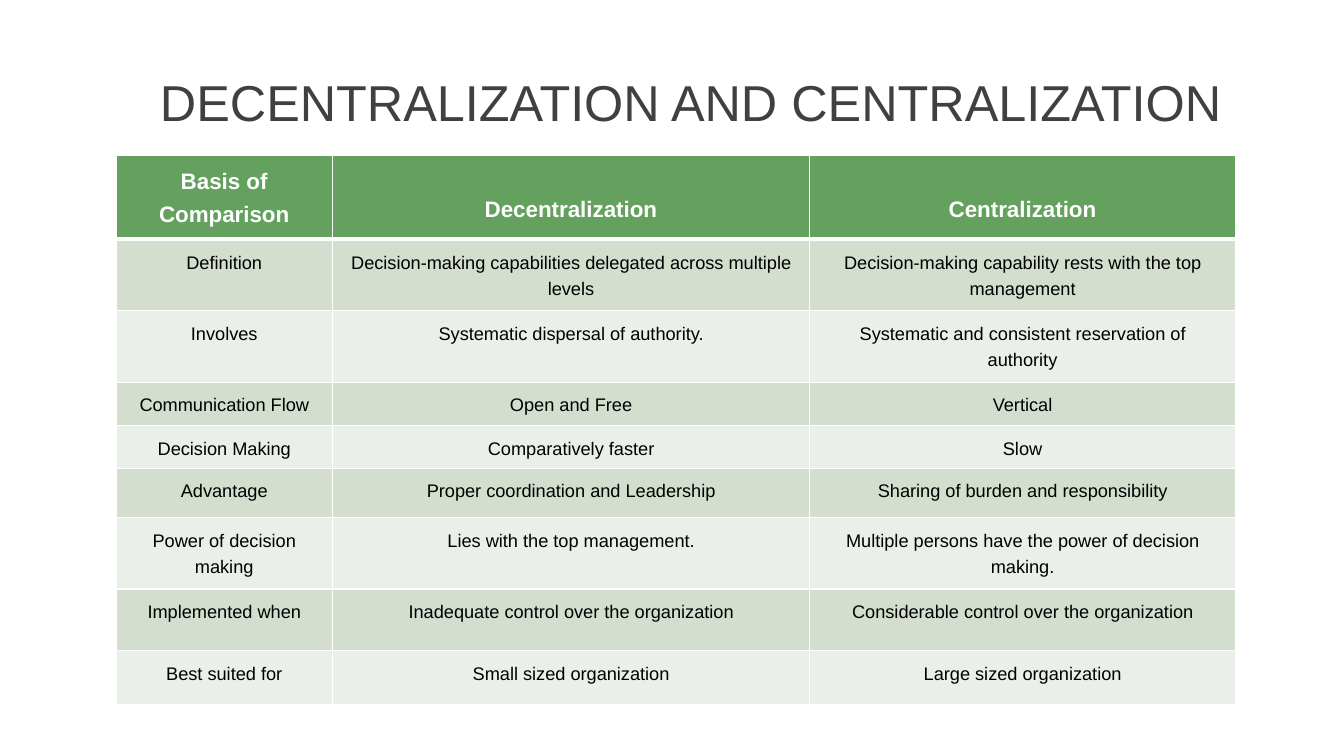
from lxml import etree
from pptx import Presentation
from pptx import util as u
from pptx.dml import color
from pptx.enum import text
from pptx.oxml import ns

FONT = "Arial"
HEADER_FILL = "64A15E"
BAND_FILLS = ("EAEFE9", "D3DECF")
COLUMN_WIDTHS = (5.44, 12.04, 10.72)
ROW_HEIGHTS = (2.11, 1.8, 1.8, 1.09, 1.07, 1.24, 1.8, 1.55, 1.37)
COMPARISON = (
    ("Basis of\nComparison", "Decentralization", "Centralization"),
    ("Definition", "Decision-making capabilities delegated across multiple levels",
     "Decision-making capability rests with the top\nmanagement"),
    ("Involves", "Systematic dispersal of authority.",
     "Systematic and consistent reservation of\nauthority"),
    ("Communication Flow", "Open and Free", "Vertical"),
    ("Decision Making", "Comparatively faster", "Slow"),
    ("Advantage", "Proper coordination and Leadership",
     "Sharing of burden and responsibility"),
    ("Power of decision\nmaking", "Lies with the top management.",
     "Multiple persons have the power of decision\nmaking."),
    ("Implemented when", "Inadequate control over the organization",
     "Considerable control over the organization"),
    ("Best suited for", "Small sized organization", "Large sized organization"),
)


def rgb(value):
    return color.RGBColor.from_string(value)


def write_lines(frame, content, size, ink, bold=False, spacing=1.0):
    for index, line in enumerate(content.split("\n")):
        para = frame.add_paragraph() if index else frame.paragraphs[0]
        para.alignment = text.PP_ALIGN.CENTER
        para.line_spacing = spacing
        span = para.add_run()
        span.text = line
        span.font.name = FONT
        span.font.size = u.Pt(size)
        span.font.bold = bold
        span.font.color.rgb = rgb(ink)


def add_border(cell, side, width):
    properties = cell._tc.get_or_add_tcPr()
    line = etree.SubElement(properties, ns.qn(f"a:ln{side}"), w=str(u.Pt(width)))
    fill = etree.SubElement(line, ns.qn("a:solidFill"))
    etree.SubElement(fill, ns.qn("a:srgbClr"), val="FFFFFF")


def style_cell(cell, content, row):
    header = row == 0
    for side in "LRTB" if header else "LRB":
        add_border(cell, side, 3 if header and side == "B" else 1)
    cell.fill.solid()
    cell.fill.fore_color.rgb = rgb(HEADER_FILL if header else BAND_FILLS[row % 2])
    cell.margin_left = cell.margin_right = u.Cm(0.33)
    cell.margin_bottom = u.Cm(0.18)
    cell.margin_top = u.Cm(0.87 if header and "\n" not in content else 0.18)
    cell.vertical_anchor = text.MSO_ANCHOR.TOP
    if header:
        write_lines(cell.text_frame, content, 16, "FFFFFF", True, 1.3)
    else:
        write_lines(cell.text_frame, content, 13, "000000", False, 1.3)


def add_title(page, left, top, width, height):
    box = page.shapes.add_textbox(u.Cm(left), u.Cm(top), u.Cm(width), u.Cm(height))
    frame = box.text_frame
    frame.word_wrap = True
    frame.vertical_anchor = text.MSO_ANCHOR.MIDDLE
    write_lines(frame, "DECENTRALIZATION AND CENTRALIZATION", 36, "404040")


def add_comparison(page, left, top, width, height):
    grid = page.shapes.add_table(
        len(ROW_HEIGHTS), len(COLUMN_WIDTHS),
        u.Cm(left), u.Cm(top), u.Cm(width), u.Cm(height)).table
    for column, share in zip(grid.columns, COLUMN_WIDTHS):
        column.width = u.Cm(width * share / sum(COLUMN_WIDTHS))
    for row, share in zip(grid.rows, ROW_HEIGHTS):
        row.height = u.Cm(height * share / sum(ROW_HEIGHTS))
    for row, contents in enumerate(COMPARISON):
        for column, content in enumerate(contents):
            style_cell(grid.cell(row, column), content, row)


def main():
    deck = Presentation()
    deck.slide_width = u.Cm(33.87)
    deck.slide_height = u.Cm(19.05)
    page = deck.slides.add_slide(deck.slide_layouts[6])
    add_title(page, 0.48, 1.5, 33.87, 2.13)
    add_comparison(page, 2.93, 3.91, 28.2, 13.84)
    deck.save("out.pptx")


if __name__ == "__main__":
    main()
